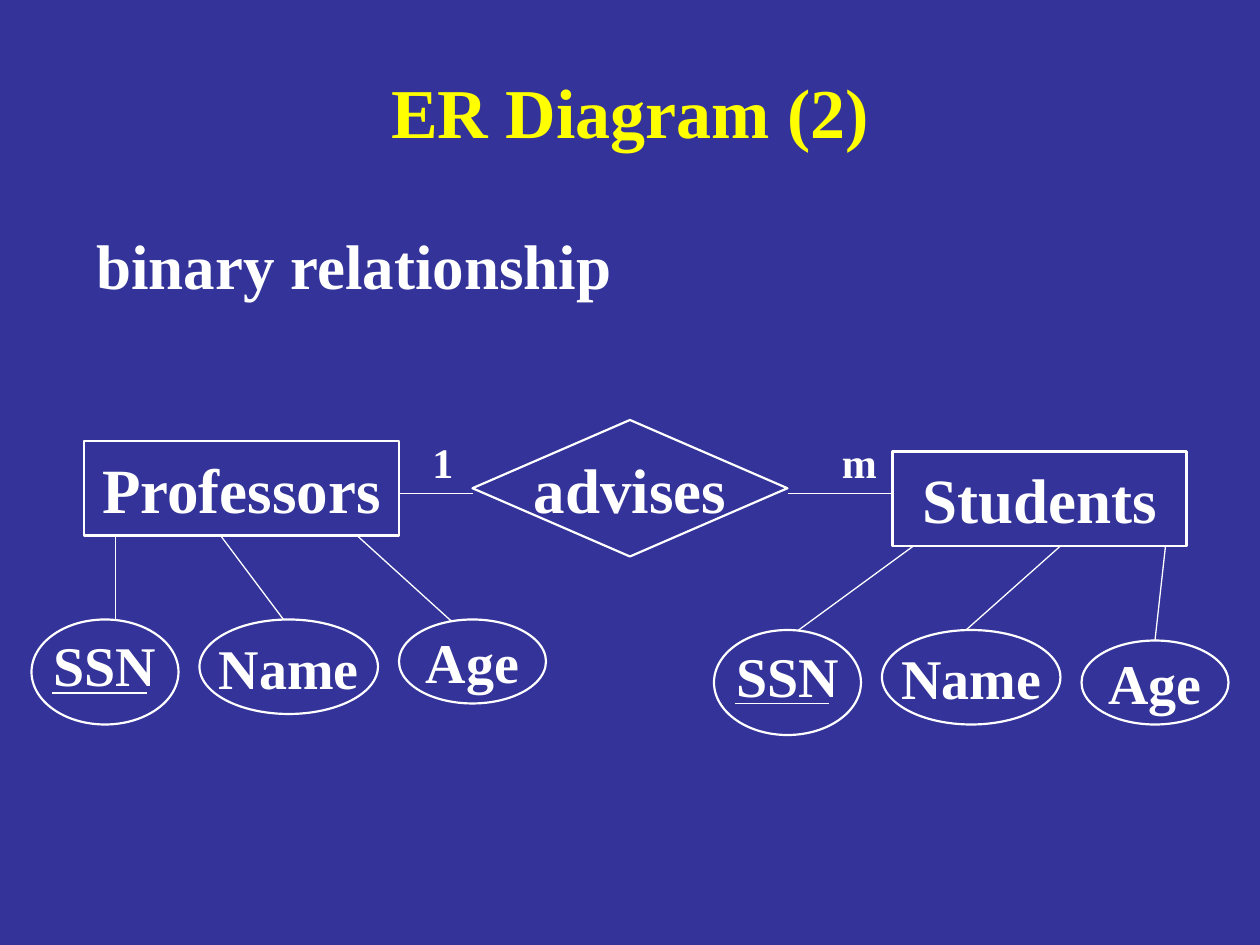
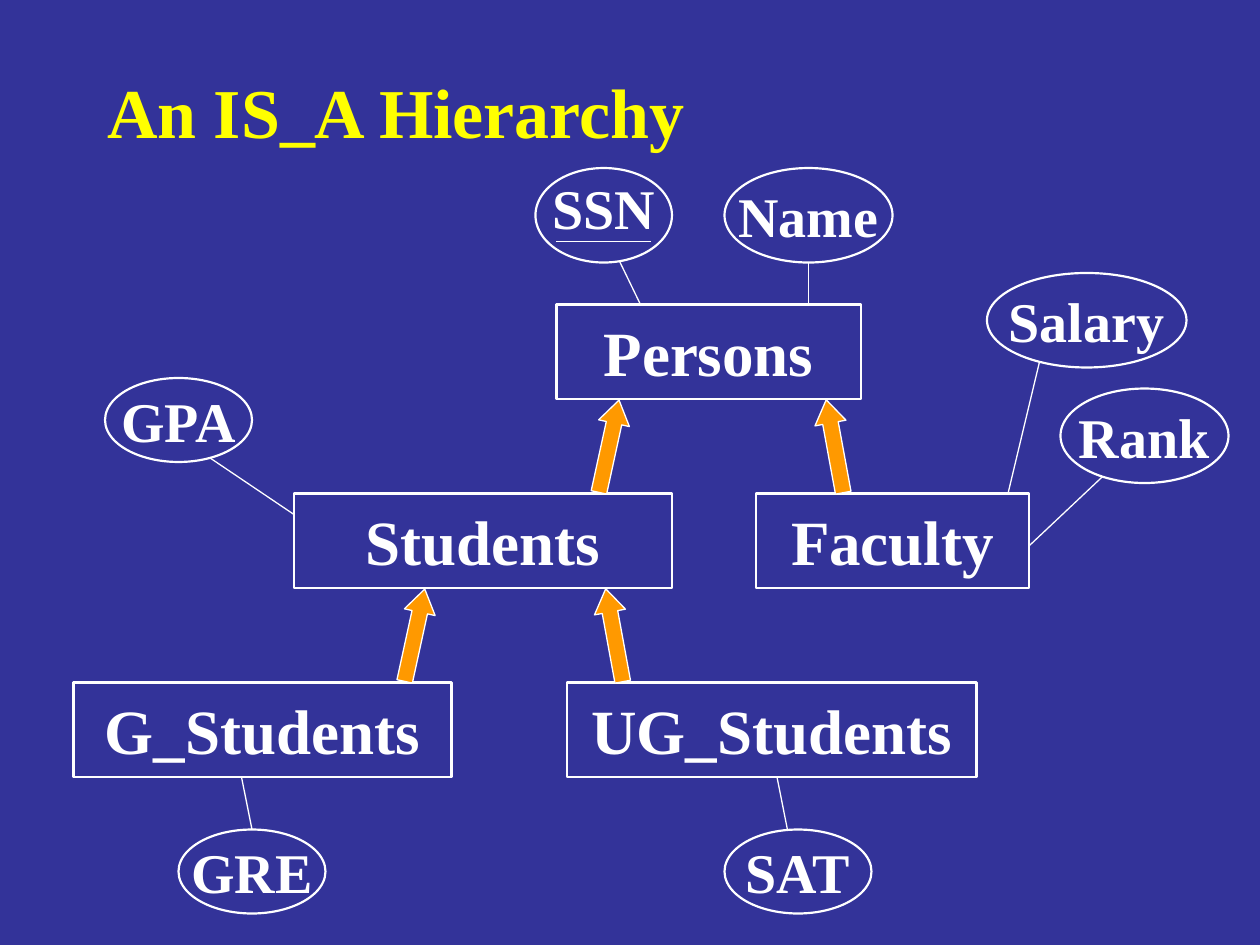
import math

import pptx
import pptx.util
import pptx.dml.color
import pptx.enum.shapes
import pptx.enum.text
import pptx.oxml.ns
import lxml.etree

RGBColor = pptx.dml.color.RGBColor
SHAPE = pptx.enum.shapes.MSO_SHAPE
ALIGN = pptx.enum.text.PP_ALIGN
MIDDLE = pptx.enum.text.MSO_ANCHOR.MIDDLE

NAVY = RGBColor(0x33, 0x33, 0x99)
YELLOW = RGBColor(0xFF, 0xFF, 0x00)
WHITE = RGBColor(0xFF, 0xFF, 0xFF)
ORANGE = RGBColor(0xFF, 0x99, 0x00)

# Grid of 120 columns by 90 rows; every place below is counted in its cells
CELL = pptx.util.Inches(10) / 120
TITLE_SIZE, ENTITY_SIZE, ATTRIBUTE_SIZE, CARDINALITY_SIZE = 40, 36, 32, 24
ENTITY_ROWS = 9
PLAIN_OVAL = (14, 8)
LEANING_RIGHT, LEANING_LEFT = 282.3, 259.6

# entities: column, row, width, attributes
# attributes: label, column, row, link column at the oval, link column at the
# entity, and the link row where the link meets the entity's side
# is_a: subclass, arrow column and rotation
diagrams = [
    {
        "title": "ER Diagram (2)",
        "align": ALIGN.CENTER,
        "ovals": {"SSN": (14, 10), "Name": (17, 9)},
        "entities": {
            "Professors": (8, 42, 30, [
                ("SSN", 3, 59, 11, 11),
                ("Name", 19, 59, 27, 21),
                ("Age", 38, 59, 43, 34)]),
            "Students": (85, 43, 28, [
                ("SSN", 68, 60, 76, 87),
                ("Name", 84, 60, 92, 101),
                ("Age", 103, 61, 110, 111)]),
        },
        "relations": {"advises": (45, 40, 30, 13)},
        "texts": [
            ("binary relationship", (8, 21, 60, 8), ENTITY_SIZE),
            ("1", (40, 41, 6, 6), CARDINALITY_SIZE),
            ("m", (79, 41, 6, 6), CARDINALITY_SIZE),
        ],
        "links": [(38, 47, 45, 47), (75, 47, 85, 47)],
        "is_a": {},
    },
    {
        "title": "An IS_A Hierarchy",
        "align": ALIGN.LEFT,
        "ovals": {"SSN": (13, 9), "Name": (16, 9), "Rank": (16, 9), "Salary": (19, 9)},
        "entities": {
            "G_Students": (7, 65, 36, [("GRE", 17, 79, 24, 23)]),
            "UG_Students": (54, 65, 39, [("SAT", 69, 79, 75, 74)]),
            "Students": (28, 47, 36, [("GPA", 10, 36, 20, 28, 49)]),
            "Faculty": (72, 47, 26, [
                ("Salary", 94, 26, 99, 96),
                ("Rank", 101, 37, 105, 98, 52)]),
            "Persons": (53, 29, 29, [
                ("SSN", 51, 16, 59, 61),
                ("Name", 69, 16, 77, 77)]),
        },
        "relations": {},
        "texts": [],
        "links": [],
        "is_a": {
            "Students": (53.5, LEANING_RIGHT),
            "G_Students": (35, LEANING_RIGHT),
            "Faculty": (75, LEANING_LEFT),
            "UG_Students": (54, LEANING_LEFT),
        },
    },
]


def cells(*counts):
    return [round(count * CELL) for count in counts]


def write(frame, text, size, colour, align=ALIGN.LEFT):
    paragraph = frame.paragraphs[0]
    paragraph.text = text
    paragraph.alignment = align
    font_format = {"name": "Times New Roman", "size": pptx.util.Pt(size), "bold": True}
    for attribute, value in font_format.items():
        setattr(paragraph.font, attribute, value)
    paragraph.font.color.rgb = colour


deck = pptx.Presentation()
deck.slide_width, deck.slide_height = cells(120, 90)
master_fill = deck.slide_master.background.fill
master_fill.solid()
master_fill.fore_color.rgb = NAVY

for diagram in diagrams:
    slide = deck.slides.add_slide(deck.slide_layouts[5])

    # Title
    heading = slide.shapes.title
    heading.left, heading.top, heading.width, heading.height = cells(9, 5, 102, 11)
    heading.text_frame.vertical_anchor = MIDDLE
    heading.text_frame.auto_size = pptx.enum.text.MSO_AUTO_SIZE.NONE
    write(heading.text_frame, diagram["title"], TITLE_SIZE, YELLOW, diagram["align"])

    # Places of the nodes, and links from each oval's rim to its entity's edge
    nodes = [(SHAPE.DIAMOND, label, area, ENTITY_SIZE)
             for label, area in diagram["relations"].items()]
    links = list(diagram["links"])
    for entity, (left, top, width, attributes) in diagram["entities"].items():
        nodes.append((SHAPE.RECTANGLE, entity, (left, top, width, ENTITY_ROWS), ENTITY_SIZE))
        for label, column, row, rim_column, edge_column, *side_row in attributes:
            oval_width, oval_height = diagram["ovals"].get(label, PLAIN_OVAL)
            nodes.append((SHAPE.OVAL, label, (column, row, oval_width, oval_height),
                          ATTRIBUTE_SIZE))
            below = row > top
            offset = 2 * (rim_column - column) / oval_width - 1
            rise = oval_height / 2 * math.sqrt(1 - offset ** 2)
            rim_row = row + oval_height / 2 + (-rise if below else rise)
            edge_row = side_row[0] if side_row else top + ENTITY_ROWS * below
            links.append((rim_column, rim_row, edge_column, edge_row))
            if label == "SSN":
                links.append((column + 2, row + 7, column + 11, row + 7))

    # Entities, relationships and attributes
    for kind, label, area, size in nodes:
        node = slide.shapes.add_shape(kind, *cells(*area))
        node.shadow.inherit = False
        node.fill.background()
        node.line.color.rgb = WHITE
        node.line.width = pptx.util.Pt(1.25)
        frame_format = {
            "word_wrap": False, "vertical_anchor": MIDDLE,
            "margin_left": 0, "margin_right": 0, "margin_top": 0,
            "margin_bottom": cells(1.5 if label == "SSN" else 0)[0],
        }
        for attribute, value in frame_format.items():
            setattr(node.text_frame, attribute, value)
        write(node.text_frame, label, size, WHITE, ALIGN.CENTER)

    # Caption and cardinalities
    for text, area, size in diagram["texts"]:
        caption = slide.shapes.add_textbox(*cells(*area))
        caption.text_frame.word_wrap = True
        write(caption.text_frame, text, size, WHITE)

    # Links and key underlines
    for ends in links:
        link = slide.shapes.add_connector(
            pptx.enum.shapes.MSO_CONNECTOR.STRAIGHT, *cells(*ends))
        link.line.color.rgb = WHITE
        link.line.width = pptx.util.Pt(0.75)
        lxml.etree.SubElement(link._element.spPr, pptx.oxml.ns.qn("a:effectLst"))

    # Block arrows from subclass to superclass
    for subclass, (column, rotation) in diagram["is_a"].items():
        row = diagram["entities"][subclass][1] - 6
        is_a = slide.shapes.add_shape(SHAPE.RIGHT_ARROW, *cells(column, row, 9, 3))
        is_a.adjustments[0], is_a.adjustments[1] = 0.5, 0.75
        is_a.rotation = rotation
        is_a.shadow.inherit = False
        is_a.fill.solid()
        is_a.fill.fore_color.rgb = ORANGE
        is_a.line.color.rgb = WHITE
        is_a.line.width = pptx.util.Pt(0.75)

deck.save("out.pptx")
